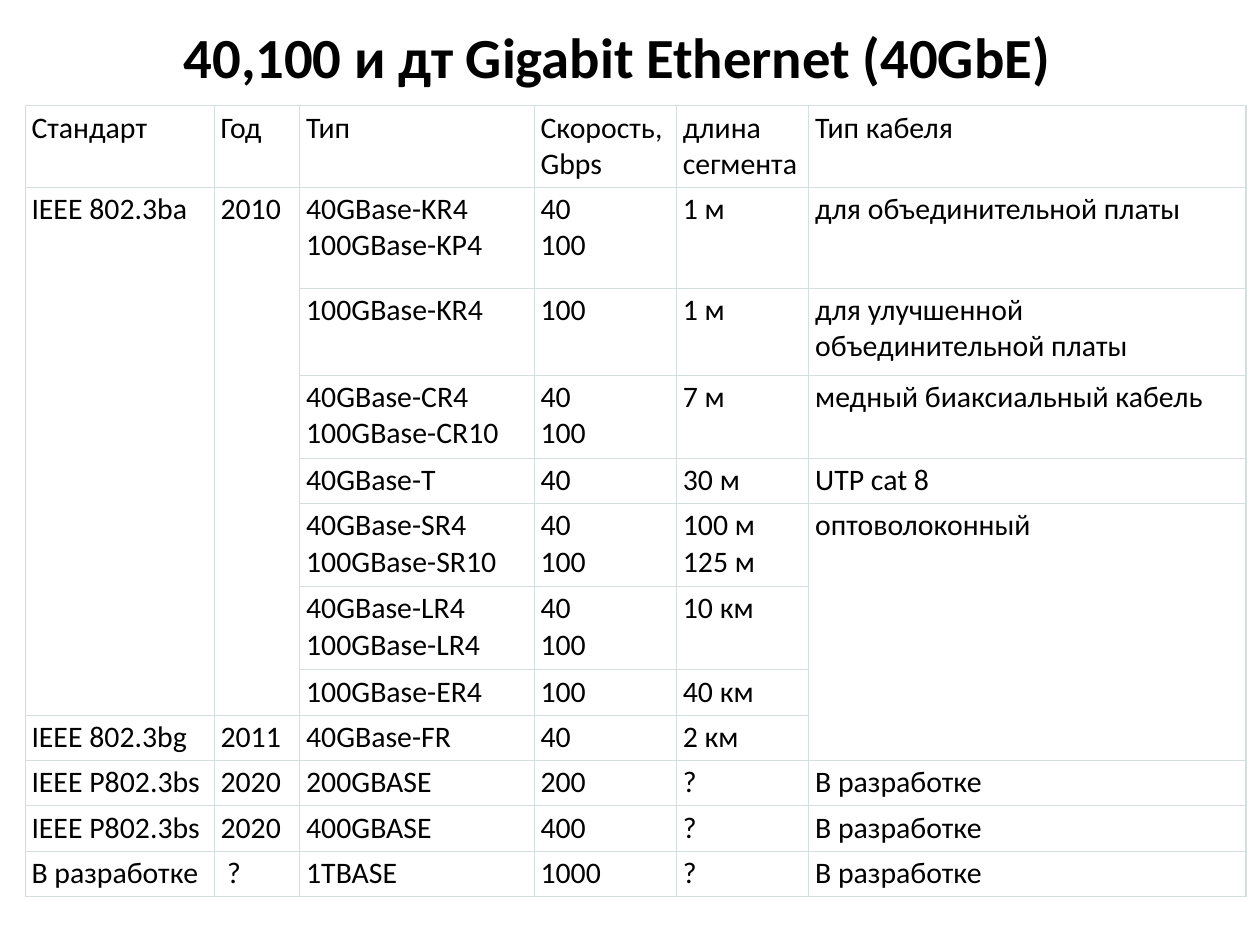
from lxml import etree
from pptx import Presentation
from pptx.dml.color import RGBColor
from pptx.enum import text
from pptx.oxml import ns
from pptx.util import Inches, Pt

COLORS = {"text": "000000", "border": "D5DDDF"}
FONT = "Calibri"
TITLE = "40,100 и дт Gigabit Ethernet (40GbE)  "

COL_WIDTHS = [1.5, 0.68, 1.86, 1.13, 1.05, 3.47]
ROW_HEIGHTS = [0.64, 0.8, 0.69, 0.66, 0.36, 0.66, 0.66] + [0.36] * 5

# "\v" is a line break inside a cell; None is a cell covered by the one above it.
ROWS = [
    ["Стандарт", "Год", "Тип", "Скорость, Gbps", "длина сегмента", "Тип кабеля"],
    ["IEEE 802.3ba", "2010", "40GBase-KR4\v100GBase-KP4", "40\v100", "1 м",
     "для объединительной платы"],
    [None, None, "100GBase-KR4", "100", "1 м", "для улучшенной объединительной платы"],
    [None, None, "40GBase-CR4\v100GBase-CR10", "40\v100", "7 м",
     "медный биаксиальный кабель"],
    [None, None, "40GBase-T", "40", "30 м", "UTP cat 8"],
    [None, None, "40GBase-SR4\v100GBase-SR10", "40\v100", "100 м\v125 м",
     "оптоволоконный"],
    [None, None, "40GBase-LR4\v100GBase-LR4", "40\v100", "10 км", None],
    [None, None, "100GBase-ER4", "100", "40 км", None],
    ["IEEE 802.3bg", "2011", "40GBase-FR", "40", "2 км", None],
    ["IEEE P802.3bs", "2020", "200GBASE", "200", "?", "В разработке"],
    ["IEEE P802.3bs", "2020", "400GBASE", "400", "?", "В разработке"],
    ["В разработке", " ?", "1TBASE", "1000", "?", "В разработке"],
]


def style_font(font, size, bold=False):
    font.name, font.size, font.bold = FONT, Pt(size), bold
    font.color.rgb = RGBColor.from_string(COLORS["text"])


def add_title(s, left, top, width, height):
    sp = s.shapes.title
    sp.left, sp.top, sp.width, sp.height = left, top, width, height
    tf = sp.text_frame
    tf.text = TITLE
    tf.auto_size = text.MSO_AUTO_SIZE.NONE
    tf.vertical_anchor = text.MSO_ANCHOR.MIDDLE
    p = tf.paragraphs[0]
    p.alignment = text.PP_ALIGN.CENTER
    style_font(p.font, 32.4, bold=True)


def add_borders(cell):
    tc_pr = cell._tc.get_or_add_tcPr()
    for side in ("lnL", "lnR", "lnT", "lnB"):
        ln = etree.SubElement(tc_pr, ns.qn(f"a:{side}"), w=str(Pt(0.75)))
        fill = etree.SubElement(ln, ns.qn("a:solidFill"))
        etree.SubElement(fill, ns.qn("a:srgbClr"), val=COLORS["border"])


def format_cell(cell):
    cell.margin_left = cell.margin_right = Inches(0.05)
    cell.margin_top, cell.margin_bottom = Inches(0.03), Inches(0.04)
    add_borders(cell)
    cell.fill.background()
    for p in cell.text_frame.paragraphs:
        style_font(p.font, 17)


def merge_covered(table):
    """Merge each cell with the run of None entries below it."""
    for col in range(len(COL_WIDTHS)):
        start = 0
        for row in range(1, len(ROWS) + 1):
            if row < len(ROWS) and ROWS[row][col] is None:
                continue
            if row - start > 1:
                table.cell(start, col).merge(table.cell(row - 1, col))
            start = row


def add_standards_table(s, left, top):
    width, height = Inches(sum(COL_WIDTHS)), Inches(sum(ROW_HEIGHTS))
    table = s.shapes.add_table(len(ROWS), len(COL_WIDTHS), left, top, width, height).table
    table.first_row = table.horz_banding = False
    for column, size in zip(table.columns, COL_WIDTHS):
        column.width = Inches(size)
    for row, size, values in zip(table.rows, ROW_HEIGHTS, ROWS):
        row.height = Inches(size)
        for cell, value in zip(row.cells, values):
            cell.text = value or ""
            format_cell(cell)
    merge_covered(table)


def main():
    prs = Presentation()
    prs.slide_width, prs.slide_height = Inches(10), Inches(7.5)
    s = prs.slides.add_slide(prs.slide_layouts[5])
    add_title(s, Inches(0.5), Inches(0.21), Inches(9), Inches(0.47))
    add_standards_table(s, Inches(0.2), Inches(0.84))
    prs.save("out.pptx")


if __name__ == "__main__":
    main()
